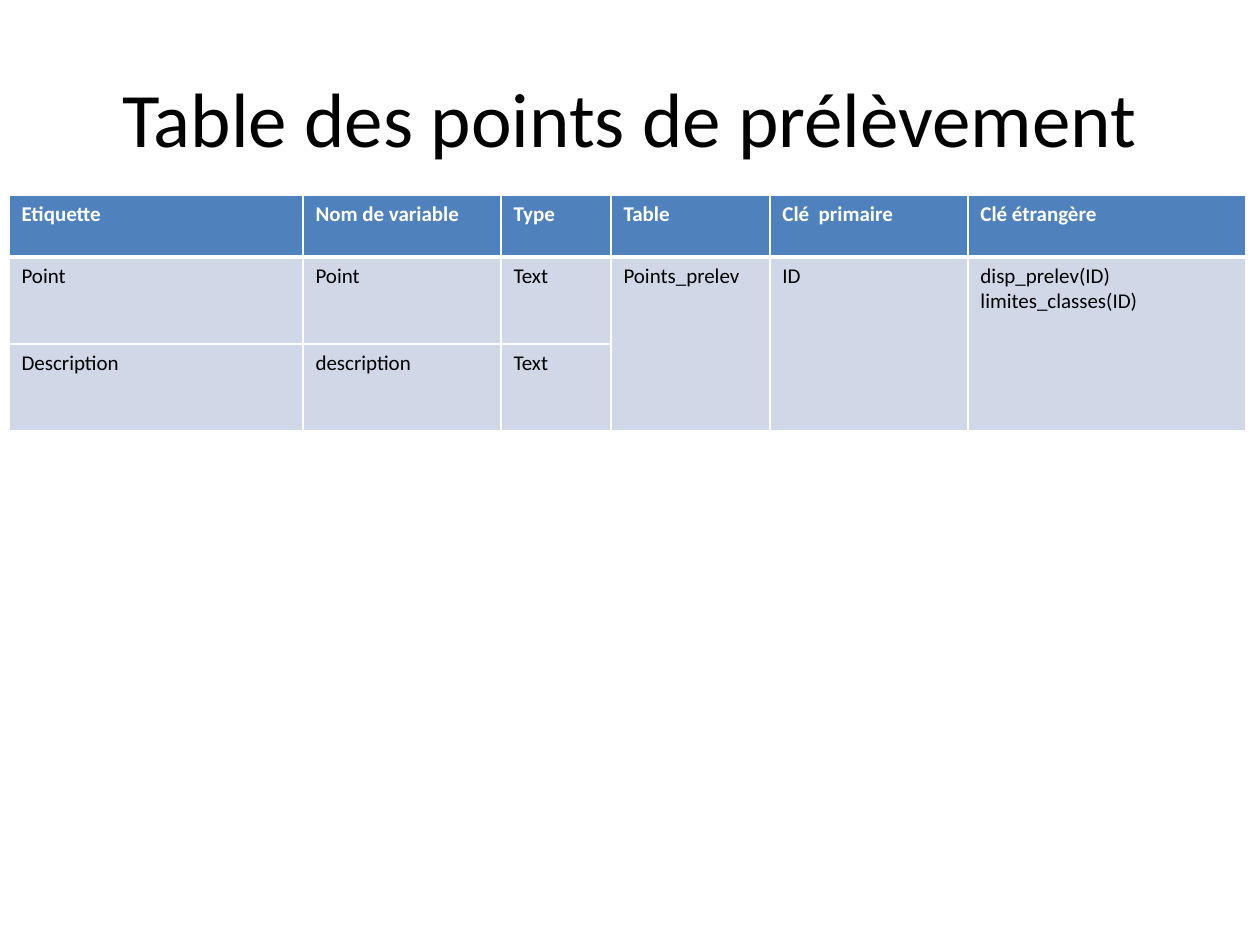
from dataclasses import dataclass

from lxml.etree import SubElement
from pptx import Presentation
from pptx.dml.color import RGBColor
from pptx.enum.text import MSO_ANCHOR, PP_ALIGN
from pptx.oxml.ns import qn
from pptx.util import Emu, Pt

PX_PER_INCH = 126
TITLE_ONLY = 5


def px(length):
    return Emu(round(length * 914400 / PX_PER_INCH))


@dataclass(frozen=True)
class Theme:
    font: str = "Calibri"
    title_size: int = 44
    cell_size: int = 12
    ink: str = "000000"
    white: str = "FFFFFF"
    header_fill: str = "4F81BD"
    body_fill: str = "D0D8E7"
    thin_line: float = 0.96
    header_line: float = 3


class SlideBuilder:
    def __init__(self, deck, theme):
        self.theme = theme
        self.slide = deck.slides.add_slide(deck.slide_layouts[TITLE_ONLY])
        self.slide.background.fill.solid()
        self.slide.background.fill.fore_color.rgb = RGBColor.from_string(theme.white)

    def style(self, paragraph, size, color, bold=False):
        font = paragraph.font
        font.name, font.size, font.bold = self.theme.font, Pt(size), bold
        font.color.rgb = RGBColor.from_string(color)

    def title(self, text, left, top, width, height):
        heading = self.slide.shapes.title
        heading.left, heading.top = px(left), px(top)
        heading.width, heading.height = px(width), px(height)
        frame = heading.text_frame
        frame.text = text
        frame.word_wrap = True
        frame.vertical_anchor = MSO_ANCHOR.MIDDLE
        paragraph = frame.paragraphs[0]
        paragraph.alignment = PP_ALIGN.CENTER
        self.style(paragraph, self.theme.title_size, self.theme.ink)

    def border(self, cell, side, width):
        line = SubElement(cell._tc.get_or_add_tcPr(), qn(f"a:ln{side}"), w=str(Pt(width)))
        fill = SubElement(line, qn("a:solidFill"))
        SubElement(fill, qn("a:srgbClr"), val=self.theme.white)

    def cell(self, cell, text, row):
        theme = self.theme
        header = row == 0
        cell.text = text
        for paragraph in cell.text_frame.paragraphs:
            self.style(paragraph, theme.cell_size,
                       theme.white if header else theme.ink, header)
        # Borders come before the fill in the cell properties
        heavy_side = {0: "B", 1: "T"}.get(row)
        for side in "LRTB":
            self.border(cell, side,
                        theme.header_line if side == heavy_side else theme.thin_line)
        cell.fill.solid()
        cell.fill.fore_color.rgb = RGBColor.from_string(
            theme.header_fill if header else theme.body_fill)

    def table(self, rows, left, top, widths, heights, merged_columns):
        table = self.slide.shapes.add_table(
            len(rows), len(widths), px(left), px(top),
            px(sum(widths)), px(sum(heights))).table
        for column, width in zip(table.columns, widths):
            column.width = px(width)
        for table_row, height in zip(table.rows, heights):
            table_row.height = px(height)
        for r, texts in enumerate(rows):
            for c, text in enumerate(texts):
                self.cell(table.cell(r, c), text, r)
        for c in merged_columns:
            table.cell(1, c).merge(table.cell(len(rows) - 1, c))


def main():
    deck = Presentation()
    deck.slide_width, deck.slide_height = px(1260), px(945)
    builder = SlideBuilder(deck, Theme())

    # Title
    builder.title("Table des points de prélèvement", 63, 38, 1134, 157)

    # Variables, with the table and its keys shared by all of them
    variables = [
        ("Etiquette", "Nom de variable", "Type", "Table", "Clé  primaire", "Clé étrangère"),
        ("Point", "Point", "Text", "Points_prelev", "ID",
         "disp_prelev(ID)\nlimites_classes(ID)"),
        ("Description", "description", "Text", "", "", ""),
    ]
    builder.table(variables, 9, 195, widths=(294, 198, 110, 159, 198, 278),
                  heights=(62, 87, 87), merged_columns=(3, 4, 5))

    deck.save("out.pptx")


if __name__ == "__main__":
    main()
